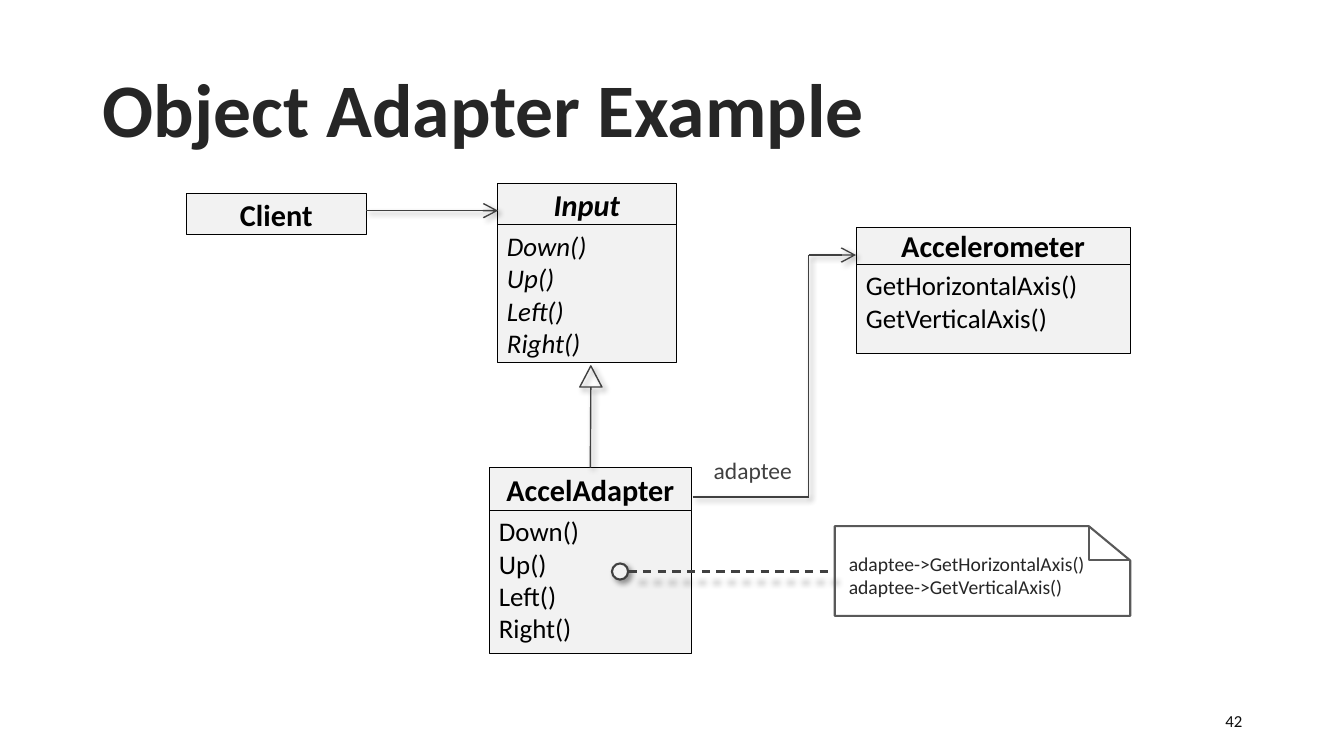
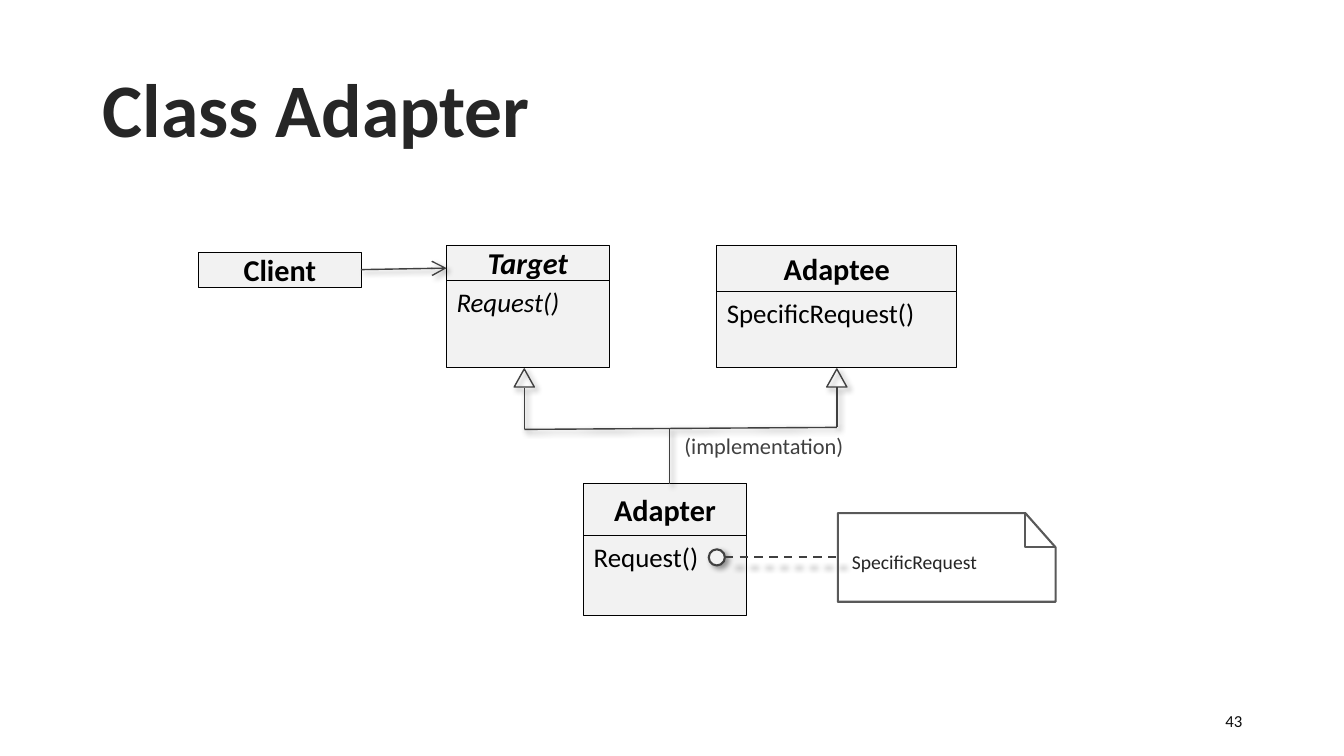
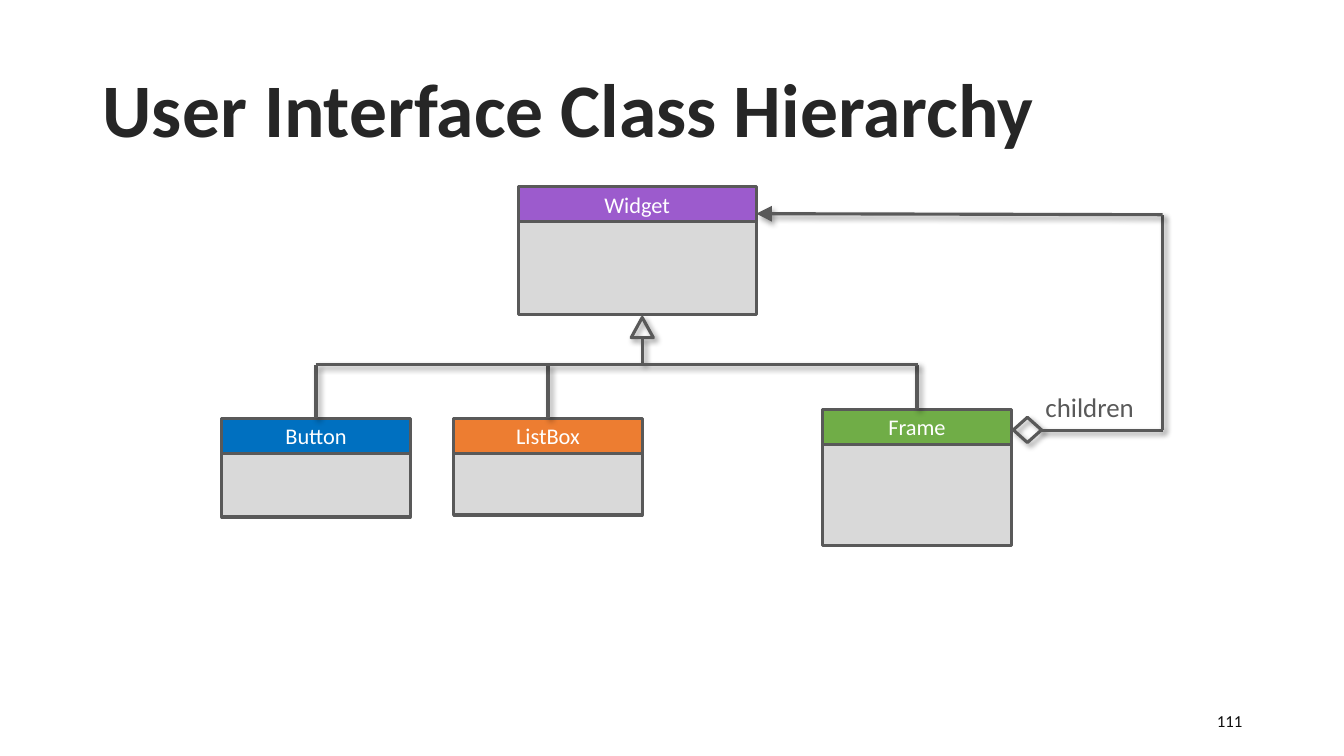
from itertools import pairwise

from lxml import etree
from pptx import Presentation
from pptx.dml.color import RGBColor
from pptx.enum.dml import MSO_LINE
from pptx.enum.shapes import MSO_CONNECTOR, MSO_SHAPE
from pptx.enum.text import MSO_ANCHOR, PP_ALIGN
from pptx.oxml.ns import qn
from pptx.util import Inches, Pt

STRAIGHT = MSO_CONNECTOR.STRAIGHT
RECTANGLE, ELLIPSE = MSO_SHAPE.RECTANGLE, MSO_SHAPE.OVAL
TRIANGLE, DIAMOND = MSO_SHAPE.ISOSCELES_TRIANGLE, MSO_SHAPE.DIAMOND
TOP, MIDDLE = MSO_ANCHOR.TOP, MSO_ANCHOR.MIDDLE
LEFT, CENTER, RIGHT = PP_ALIGN.LEFT, PP_ALIGN.CENTER, PP_ALIGN.RIGHT
DASH = MSO_LINE.DASH
TOP_SIDE, RIGHT_SIDE = 0, 3

FONT = "Calibri"
COLORS = {
    "title": "262626",
    "number": "0D0D0D",
    "black": "000000",
    "white": "FFFFFF",
    "class": "F2F2F2",
    "body": "D9D9D9",
    "link": "404040",
    "outline": "595959",
    "purple": "9C5BCD",
    "blue": "0070C0",
    "orange": "ED7D31",
    "green": "70AD47",
}


def color(name):
    return RGBColor.from_string(COLORS[name])


def inches(values):
    return [Inches(value) for value in values]


def write(shape, text, size, color_name, align=LEFT, anchor=TOP, bold=False, italic=False):
    frame = shape.text_frame
    frame.word_wrap = True
    frame.vertical_anchor = anchor
    frame.text = text
    for paragraph in frame.paragraphs:
        paragraph.alignment = align
        for run in paragraph.runs:
            run.font.name = FONT
            run.font.size = Pt(size)
            run.font.color.rgb = color(color_name)
            run.font.bold = bold
            run.font.italic = italic


def add_text(slide, box, text, size, color_name, **style):
    shape = slide.shapes.add_textbox(*inches(box))
    write(shape, text, size, color_name, **style)
    return shape


def set_line(shape, color_name, weight):
    shape.line.color.rgb = color(color_name)
    shape.line.width = Pt(weight)


def cast_shadow(shape, distance=3, blur=4):
    effects = etree.SubElement(shape._element.spPr, qn("a:effectLst"))
    shadow = etree.SubElement(
        effects, qn("a:outerShdw"), blurRad=str(Pt(blur)), dist=str(Pt(distance)),
        dir="2700000", algn="tl", rotWithShape="0")
    shade = etree.SubElement(shadow, qn("a:srgbClr"), val=COLORS["black"])
    etree.SubElement(shade, qn("a:alpha"), val="40000")


def add_rectangle(slide, box, fill, line, weight):
    shape = slide.shapes.add_shape(RECTANGLE, *inches(box))
    shape.shadow.inherit = False
    shape.fill.solid()
    shape.fill.fore_color.rgb = color(fill)
    set_line(shape, line, weight)
    return shape


def add_marker(slide, kind, box, line="link", weight=1, fill=None):
    shape = slide.shapes.add_shape(kind, *inches(box))
    if fill:
        shape.fill.solid()
        shape.fill.fore_color.rgb = color(fill)
    else:
        shape.fill.background()
    set_line(shape, line, weight)
    cast_shadow(shape)


def add_link(slide, start, end, line="link", weight=1, arrow=None, dash=None, distance=3):
    connector = slide.shapes.add_connector(STRAIGHT, *inches((*start, *end)))
    set_line(connector, line, weight)
    if dash:
        connector.line.dash_style = dash
    if arrow:
        outline = connector._element.spPr.find(qn("a:ln"))
        etree.SubElement(outline, qn("a:tailEnd"), type=arrow, w="lg", len="lg")
    cast_shadow(connector, distance)
    return connector


def add_route(slide, points, arrow=None, **style):
    legs = list(pairwise(points))
    for start, end in legs[:-1]:
        add_link(slide, start, end, **style)
    add_link(slide, *legs[-1], arrow=arrow, **style)


def add_class_name(slide, box, name, italic=False):
    header = add_rectangle(slide, box, "class", "black", 0.5)
    write(header, name, 21.6, "black", CENTER, MIDDLE, True, italic)
    return header


def add_class(slide, box, header_height, name, methods, italic=False):
    left, top, width, height = box
    header = add_class_name(slide, (left, top, width, header_height), name, italic)
    body = add_rectangle(
        slide, (left, top + header_height, width, height - header_height), "class", "black", 0.5)
    write(body, "\n".join(methods), 19.2, "black", italic=italic)
    return header


def add_widget_class(slide, box, name, fill):
    left, top, width, height = box
    header_height = 0.35
    header = add_rectangle(slide, (left, top, width, header_height), fill, "outline", 2.25)
    write(header, name, 16, "white", CENTER, MIDDLE)
    add_rectangle(
        slide, (left, top + header_height, width, height - header_height),
        "body", "outline", 2.25)
    return header


def add_outline(slide, points, close):
    first, *rest = [tuple(inches(point)) for point in points]
    builder = slide.shapes.build_freeform(*first)
    builder.add_line_segments(rest, close=close)
    shape = builder.convert_to_shape()
    shape.shadow.inherit = False
    shape.fill.background()
    set_line(shape, "outline", 1.5)


def add_note(slide, box, fold_width, text):
    left, top, width, height = box
    right, bottom = left + width, top + height
    fold_left, fold_bottom = right - fold_width, top + 0.34
    add_outline(slide, [(left, top), (fold_left, top), (right, fold_bottom),
                        (right, bottom), (left, bottom)], True)
    add_outline(slide, [(fold_left, top), (fold_left, fold_bottom), (right, fold_bottom)], False)
    add_text(slide, (left + 0.04, top + 0.2, width - 0.35, 0.57), text, 14, "title", anchor=MIDDLE)


def add_note_link(slide, left, middle, end):
    size = 0.16
    add_marker(slide, ELLIPSE, (left, middle - size / 2, size, size), weight=1.5, fill="class")
    add_link(slide, (left + size, middle), (end, middle), weight=1.5, dash=DASH, distance=11)


def add_base_slide(presentation, title, number):
    slide = presentation.slides.add_slide(presentation.slide_layouts[6])
    heading = add_text(slide, (0.92, 0.4, 11.5, 1.45), title, 54, "title",
                       anchor=MIDDLE, bold=True)
    heading.text_frame.paragraphs[0].line_spacing = 0.9
    add_text(slide, (9.42, 6.95, 3, 0.4), number, 12, "number", align=RIGHT, anchor=MIDDLE)
    return slide


def build_object_adapter(presentation):
    slide = add_base_slide(presentation, "Object Adapter Example", "42")
    methods = ["Down()", "Up()", "Left()", "Right()"]
    add_class(slide, (4.93, 1.82, 1.78, 1.78), 0.41, "Input", methods, True)
    add_class(slide, (8.49, 2.26, 2.72, 1.25), 0.36, "Accelerometer",
              ["GetHorizontalAxis()", "GetVerticalAxis()"])
    adapter = add_class(slide, (4.85, 4.64, 2.01, 1.84), 0.42, "AccelAdapter", methods)
    add_class_name(slide, (1.85, 1.92, 1.78, 0.41), "Client")

    add_link(slide, (3.63, 2.09), (4.94, 2.09), arrow="arrow")
    add_marker(slide, TRIANGLE, (5.75, 3.63, 0.22, 0.21))
    inheritance = add_link(slide, (5.86, 3.84), (5.86, 4.64))
    inheritance.end_connect(adapter, TOP_SIDE)
    add_route(slide, [(6.87, 4.93), (8.02, 4.93), (8.02, 2.53), (8.49, 2.53)], arrow="arrow")
    add_text(slide, (6.98, 4.47, 1.59, 0.38), "adaptee", 16.8, "link")
    add_note_link(slide, 6.07, 5.67, 8.25)
    add_note(slide, (8.28, 5.22, 2.93, 0.89), 0.41,
             "adaptee->GetHorizontalAxis()\nadaptee->GetVerticalAxis()")


def build_class_adapter(presentation):
    slide = add_base_slide(presentation, "Class Adapter", "43")
    add_class(slide, (4.43, 2.43, 1.61, 1.22), 0.35, "Target", ["Request()"], True)
    add_class(slide, (7.11, 2.43, 2.38, 1.22), 0.46, "Adaptee", ["SpecificRequest()"])
    add_class(slide, (5.79, 4.8, 1.61, 1.31), 0.51, "Adapter", ["Request()"])
    client = add_class_name(slide, (1.97, 2.5, 1.61, 0.35), "Client")

    call = add_link(slide, (3.58, 2.66), (4.43, 2.66), arrow="arrow")
    call.begin_connect(client, RIGHT_SIDE)
    for center in (5.2, 8.3):
        add_marker(slide, TRIANGLE, (center - 0.1, 3.66, 0.2, 0.18))
    add_route(slide, [(5.2, 3.85), (5.2, 4.26), (8.3, 4.24), (8.3, 3.84)])
    add_link(slide, (6.64, 4.8), (6.64, 4.25))
    add_text(slide, (6.69, 4.24, 2.21, 0.37), "(implementation)", 16, "link")
    add_note_link(slide, 7.03, 5.53, 8.29)
    add_note(slide, (8.31, 5.09, 2.16, 0.88), 0.3, "SpecificRequest")


def build_widget_hierarchy(presentation):
    slide = add_base_slide(presentation, "User Interface Class Hierarchy", "111")
    style = {"line": "outline", "weight": 2.25}
    add_widget_class(slide, (5.14, 1.85, 2.36, 1.27), "Widget", "purple")
    children = (
        ("Button", "blue", (2.2, 4.15, 1.87, 0.98)),
        ("ListBox", "orange", (4.5, 4.15, 1.87, 0.96)),
        ("Frame", "green", (8.16, 4.06, 1.87, 1.35)),
    )
    branch = 3.62
    for name, fill, box in children:
        header = add_widget_class(slide, box, name, fill)
        center = box[0] + box[2] / 2
        drop = add_link(slide, (center, branch), (center, box[1]), **style)
        drop.end_connect(header, TOP_SIDE)
    add_marker(slide, TRIANGLE, (6.26, 3.15, 0.22, 0.2), **style)
    add_link(slide, (6.37, 3.35), (6.37, branch), **style)
    add_link(slide, (3.13, branch), (9.1, branch), **style)

    add_marker(slide, DIAMOND, (10.05, 4.14, 0.28, 0.25), **style)
    add_route(slide, [(10.31, 4.27), (11.53, 4.27), (11.53, 2.13), (7.5, 2.12)],
              arrow="triangle", **style)
    add_text(slide, (10.27, 3.83, 1.31, 0.42), "children", 19.2, "outline")


def main():
    presentation = Presentation()
    presentation.slide_width = Inches(13.33)
    presentation.slide_height = Inches(7.5)
    build_object_adapter(presentation)
    build_class_adapter(presentation)
    build_widget_hierarchy(presentation)
    presentation.save("out.pptx")


if __name__ == "__main__":
    main()
